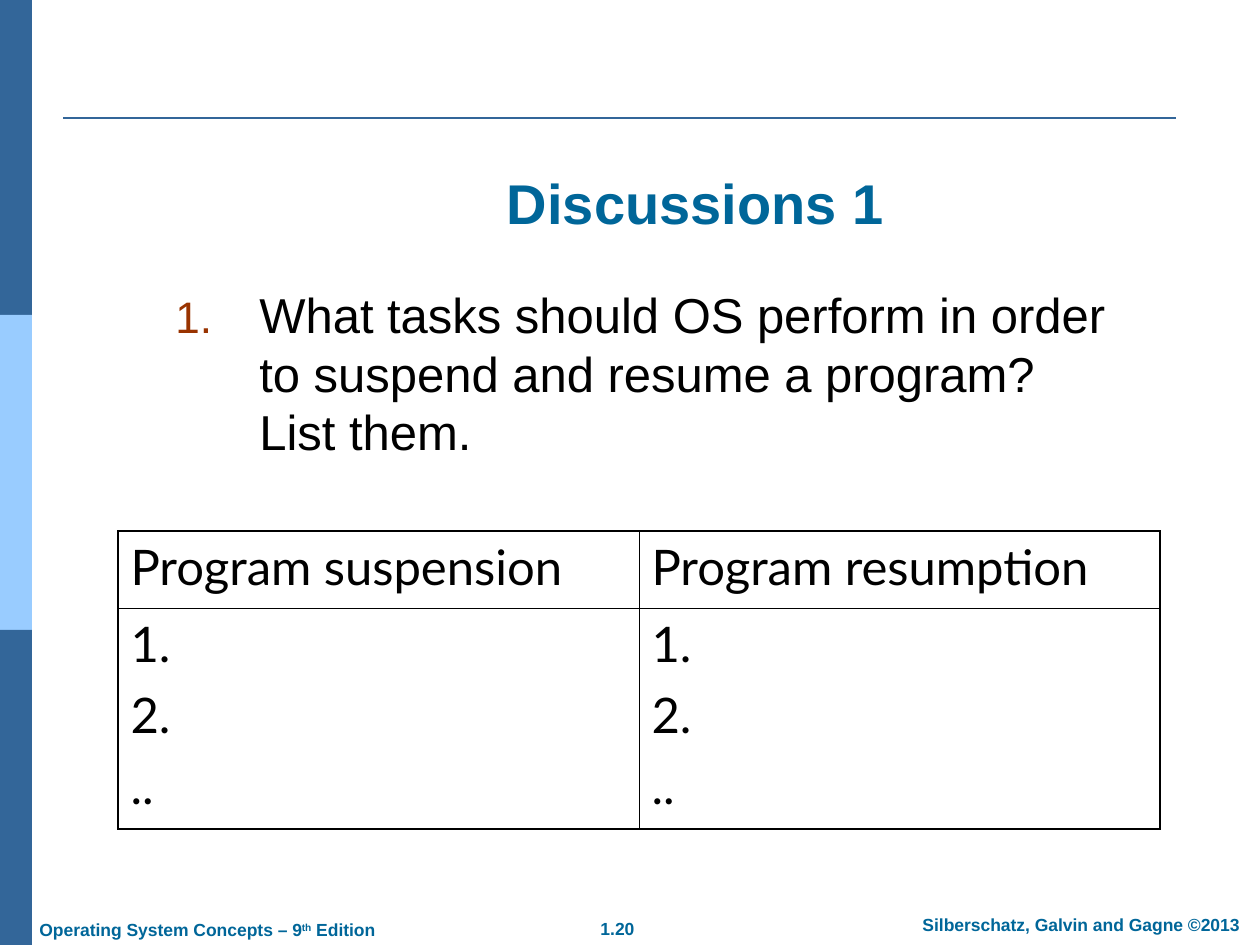
from lxml.etree import SubElement
from pptx import Presentation
from pptx.dml.color import RGBColor
from pptx.enum.shapes import MSO_CONNECTOR, MSO_SHAPE
from pptx.enum.text import MSO_ANCHOR, PP_ALIGN
from pptx.oxml import parse_xml
from pptx.oxml.ns import nsdecls, qn
from pptx.util import Emu, Pt

DARK = RGBColor(0x33, 0x66, 0x99)
LIGHT = RGBColor(0x99, 0xCC, 0xFF)
TEAL = RGBColor(0x00, 0x66, 0x99)
BLACK = RGBColor(0, 0, 0)
RUST = RGBColor(0x99, 0x33, 0x00)
THICK, THIN = 1.08, 0.45


def px(n):
    return Emu(round(n * 914400 / 126))


def write(frame, *lines, size=28, font="Arial", color=BLACK, bold=False,
          align=PP_ALIGN.LEFT, gap=0):
    """Fill a frame; a line is a string or a list of (text, raised) runs."""
    for i, line in enumerate(lines):
        para = frame.paragraphs[0] if i == 0 else frame.add_paragraph()
        para.alignment = align
        if i:
            para.space_before = Pt(gap)
        for text, raised in [(line, False)] if isinstance(line, str) else line:
            run = para.add_run()
            run.text = text
            run.font.size, run.font.name = Pt(size), font
            run.font.bold, run.font.color.rgb = bold, color
            if raised:
                run.font._element.set("baseline", "30000")


def add_box(slide, box, anchor=MSO_ANCHOR.TOP):
    frame = slide.shapes.add_textbox(*map(px, box)).text_frame
    frame.word_wrap, frame.vertical_anchor = True, anchor
    return frame


def add_bar(slide, box):
    x, y, w, h = box
    part = h // 3
    for i, color in enumerate((DARK, LIGHT, DARK)):
        rect = slide.shapes.add_shape(
            MSO_SHAPE.RECTANGLE, *map(px, (x, y + i * part, w, part)))
        rect.shadow.inherit = False
        rect.fill.solid()
        rect.fill.fore_color.rgb = color
        rect.line.fill.background()


def add_rule(slide, box):
    x, y, w, h = box
    rule = slide.shapes.add_connector(
        MSO_CONNECTOR.STRAIGHT, *map(px, (x, y, x + w, y + h)))
    rule.line.color.rgb = DARK
    rule.line.width = Pt(1.5)
    SubElement(rule._element.spPr, qn("a:effectLst"))


def add_foot(slide, box):
    x, y, w, h = box
    style = dict(size=10, color=TEAL, bold=True)
    book = [("Operating System Concepts – 9", False), ("th", True),
            (" Edition", False)]
    write(add_box(slide, (x, y + 5, 400, h)), book, **style)
    write(add_box(slide, (x + 529, y + 4, 123, h)), "1.20",
          align=PP_ALIGN.CENTER, **style)
    write(add_box(slide, (x + w - 374, y, 374, h)),
          "Silberschatz, Galvin and Gagne ©2013",
          align=PP_ALIGN.CENTER, **style)


def add_title(slide, box):
    write(add_box(slide, box, anchor=MSO_ANCHOR.BOTTOM), "Discussions 1",
          size=32, color=TEAL, bold=True, align=PP_ALIGN.CENTER)


def add_task(slide, box):
    frame = add_box(slide, box)
    # Hanging number in its own colour and size
    props = frame.paragraphs[0]._p.get_or_add_pPr()
    props.set("marL", str(px(84)))
    props.set("indent", str(-px(84)))
    tint = SubElement(props, qn("a:buClr"))
    SubElement(tint, qn("a:srgbClr"), val=str(RUST))
    SubElement(props, qn("a:buSzPct"), val="90000")
    SubElement(props, qn("a:buFont"), typeface="Arial")
    SubElement(props, qn("a:buAutoNum"), type="arabicPeriod")
    write(frame, "What tasks should OS perform in order to suspend and "
          "resume a program? List them.")


def set_edges(cell, widths):
    props = cell._tc.get_or_add_tcPr()
    for i, (side, width) in enumerate(zip("LRTB", widths)):
        props.insert(i, parse_xml(
            f'<a:ln{side} {nsdecls("a")} w="{Pt(width)}"><a:solidFill>'
            f'<a:srgbClr val="{BLACK}"/></a:solidFill></a:ln{side}>'))


def add_grid(slide, box):
    heads = ("Program suspension", "Program resumption")
    steps = ("1.", "2.", "..")
    grid = slide.shapes.add_table(2, 2, *map(px, box)).table
    grid.first_row = grid.horz_banding = False
    for col in grid.columns:
        col.width = px(box[2] // 2)
    for row, tall in zip(grid.rows, (77, box[3] - 77)):
        row.height = px(tall)
    for c, head in enumerate(heads):
        for r, lines in enumerate(((head,), steps)):
            cell = grid.cell(r, c)
            cell.fill.background()
            write(cell.text_frame, *lines, font="Lato", gap=7)
            # Outer edges are thick, inner ones thin
            outer = (c == 0, c == 1, r == 0, r == 1)
            set_edges(cell, [THICK if out else THIN for out in outer])


def main():
    deck = Presentation()
    deck.slide_width, deck.slide_height = px(1260), px(945)
    slide = deck.slides.add_slide(deck.slide_layouts[6])
    add_bar(slide, (0, 0, 32, 945))
    add_rule(slide, (63, 118, 1113, 0))
    add_foot(slide, (27, 908, 1241, 34))
    add_title(slide, (159, 84, 1073, 158))
    add_task(slide, (163, 278, 971, 273))
    add_grid(slide, (118, 531, 1042, 298))
    deck.save("out.pptx")


if __name__ == "__main__":
    main()
